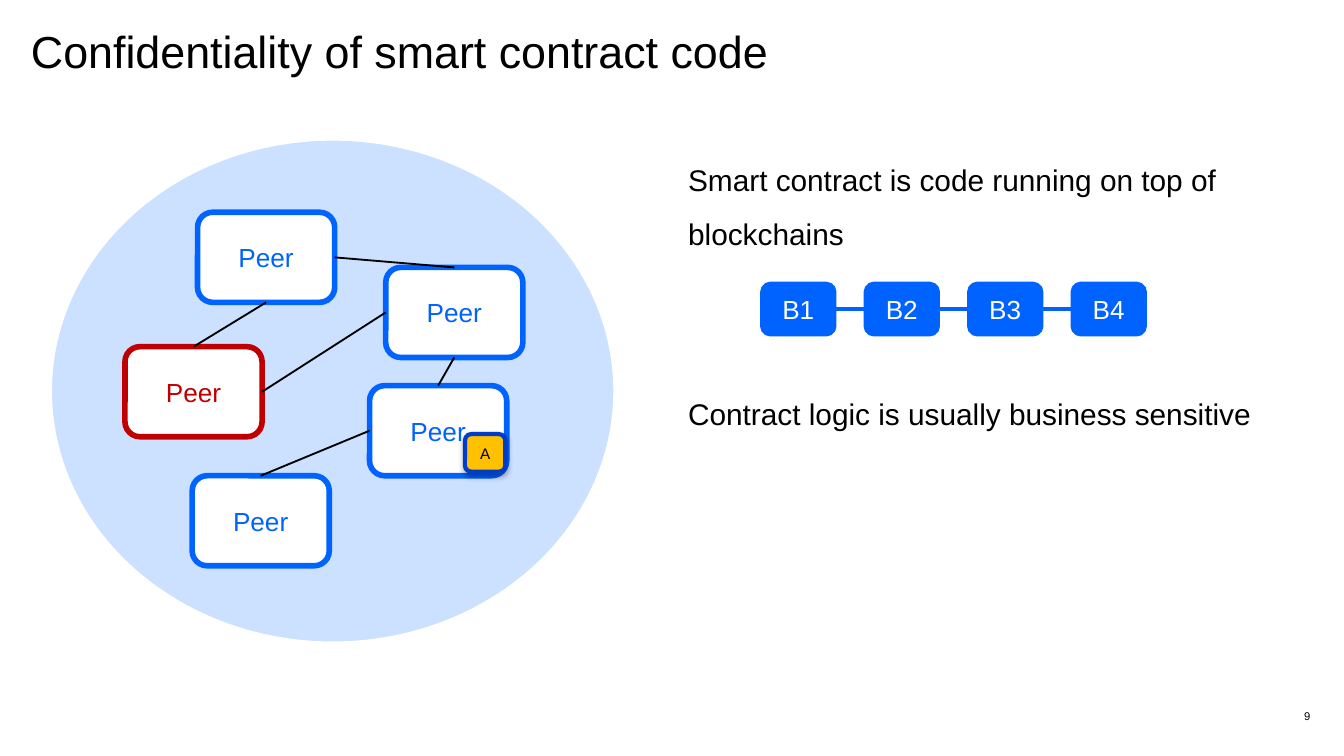
from pptx import Presentation
from pptx.dml.color import RGBColor
from pptx.enum.shapes import MSO_CONNECTOR as Connector, MSO_SHAPE as Shape
from pptx.enum.text import MSO_ANCHOR as Anchor, MSO_AUTO_SIZE as AutoSize, PP_ALIGN as Align
from pptx.oxml import parse_xml
from pptx.oxml.ns import nsdecls, qn
from pptx.util import Inches, Pt

BLUE, RED, BLACK, WHITE = "0062FF", "C00000", "000000", "FFFFFF"
TOP, LEFT, BOTTOM, RIGHT = range(4)  # connection sites of a rounded box


def paint(color_format, color):
    """Set a fill, line or font colour from a hex string."""
    color_format.rgb = RGBColor.from_string(color)


def write(shape, text, size, color=BLACK, align=Align.LEFT, anchor=Anchor.TOP,
          spacing=None, margins=(0, 0)):
    """Put one formatted paragraph into a shape and return it."""
    frame = shape.text_frame
    frame.word_wrap = True
    frame.auto_size = AutoSize.NONE
    frame.vertical_anchor = anchor
    frame.margin_left = frame.margin_right = Inches(margins[0])
    frame.margin_top = frame.margin_bottom = Inches(margins[1])
    para = frame.paragraphs[0]
    para.alignment = align
    para.space_before = Pt(0)
    if spacing:
        para.line_spacing = spacing
    span = para.add_run()
    span.text = text
    span.font.name = "Arial"
    span.font.size = Pt(size)
    paint(span.font.color, color)
    return para


def place(shape, left, top, width, height):
    """Move and size a placeholder."""
    shape.left, shape.top = Inches(left), Inches(top)
    shape.width, shape.height = Inches(width), Inches(height)


def add_box(page, kind, at, fill, line, weight):
    """Add a filled and outlined shape without shadow."""
    box = page.shapes.add_shape(kind, *map(Inches, at))
    box.shadow.inherit = False
    box.fill.solid()
    paint(box.fill.fore_color, fill)
    paint(box.line.color, line)
    box.line.width = Pt(weight)
    return box


def add_node(page, text, at, fill, line, weight, color, size=14, margins=(0.07, 0.04)):
    """Add a rounded box with a centred label."""
    box = add_box(page, Shape.ROUNDED_RECTANGLE, at, fill, line, weight)
    write(box, text, size, color, Align.CENTER, Anchor.MIDDLE, margins=margins)
    return box


def link(page, start, start_site, end, end_site, color, weight):
    """Join two boxes with a straight connector."""
    line = page.shapes.add_connector(Connector.STRAIGHT, 0, 0, 0, 0)
    line.begin_connect(start, start_site)
    line.end_connect(end, end_site)
    paint(line.line.color, color)
    line.line.width = Pt(weight)
    line._element.spPr.append(parse_xml(f"<a:effectLst {nsdecls('a')}/>"))


def add_shadow(box):
    """Give a box a soft shadow straight below it."""
    box._element.spPr.find(qn("a:effectLst")).append(parse_xml(
        f'<a:outerShdw {nsdecls("a")} blurRad="{Pt(3.1)}" dist="{Pt(1.8)}" dir="5400000" '
        'rotWithShape="0"><a:srgbClr val="000000"><a:alpha val="35000"/></a:srgbClr>'
        '</a:outerShdw>'))


def add_texts(page):
    """Fill the title and body, and add the second statement and page number."""
    title, body = page.shapes.title, page.placeholders[1]
    place(title, 0.23, 0.19, 5.98, 0.88)
    heading = write(title, "Confidentiality of smart contract code", 24, spacing=Pt(28))
    heading.space_after = Pt(18)

    place(body, 5.12, 1.07, 4.51, 0.71)
    para = write(body, "Smart contract is code running on top of blockchains", 16, spacing=1.5)
    props = para._p.get_or_add_pPr()
    props.set("marL", "0")
    props.set("indent", "0")
    props.append(parse_xml(f"<a:buNone {nsdecls('a')}/>"))

    statement = page.shapes.add_textbox(*map(Inches, (5.12, 2.81, 4.51, 0.71)))
    write(statement, "Contract logic is usually business sensitive", 16, spacing=1.5)
    number = page.shapes.add_textbox(*map(Inches, (7.75, 5.24, 2, 0.18)))
    write(number, "9", 6, align=Align.RIGHT, anchor=Anchor.MIDDLE)


def add_network(page):
    """Draw the peers, their links and the contract badge."""
    add_box(page, Shape.OVAL, (0.38, 1.04, 4.19, 3.74), "CCE0FF", WHITE, 1)
    places = {
        "first": (1.47, 1.58, BLUE),
        "suspect": (0.93, 2.58, RED),
        "upper": (2.87, 1.99, BLUE),
        "last": (1.43, 3.54, BLUE),
        "host": (2.75, 2.87, BLUE),
    }
    peers = {name: add_node(page, "Peer", (left, top, 1.02, 0.67), WHITE, color, 3, color)
             for name, (left, top, color) in places.items()}
    for start, start_site, end, end_site in (
            ("first", BOTTOM, "suspect", TOP),
            ("host", LEFT, "last", TOP),
            ("upper", BOTTOM, "host", TOP),
            ("upper", LEFT, "suspect", RIGHT),
            ("upper", TOP, "first", RIGHT)):
        link(page, peers[start], start_site, peers[end], end_site, BLACK, 1)
    badge = add_node(page, "A", (3.46, 3.23, 0.3, 0.28), "FFC000", "003BC9", 2.25,
                     BLACK, 8.2, (0, 0))
    add_shadow(badge)


def add_chain(page):
    """Draw the row of linked blocks."""
    blocks = [add_node(page, f"B{i + 1}", (5.67 + 0.77 * i, 2.11, 0.54, 0.38),
                       BLUE, BLUE, 2, WHITE) for i in range(4)]
    for before, after in zip(blocks, blocks[1:]):
        link(page, after, LEFT, before, RIGHT, BLUE, 2)


def main():
    """Build and save the slide."""
    deck = Presentation()
    deck.slide_width = Inches(10)
    deck.slide_height = deck.slide_width * 9 // 16
    page = deck.slides.add_slide(deck.slide_layouts[1])
    add_texts(page)
    add_network(page)
    add_chain(page)
    deck.save("out.pptx")


main()
